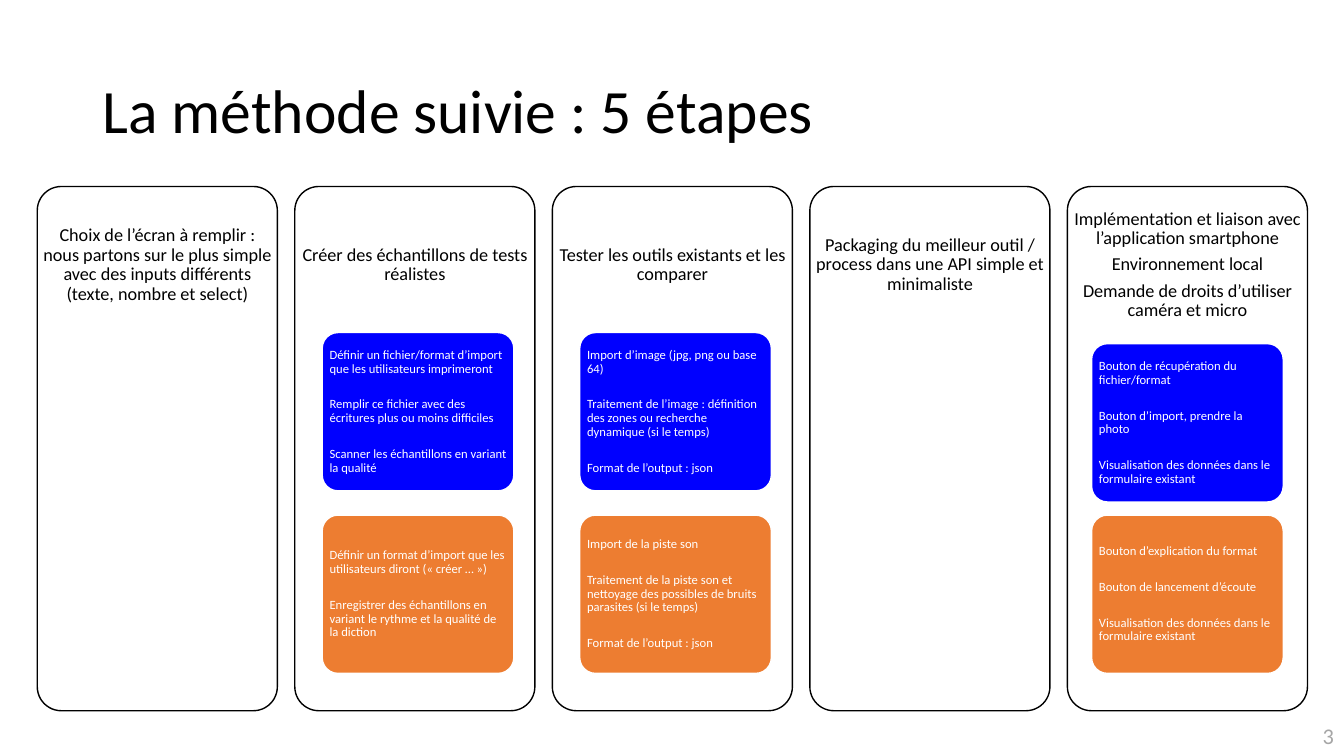
from dataclasses import dataclass

from pptx import Presentation
from pptx.dml.color import RGBColor
from pptx.enum.shapes import MSO_SHAPE as Shape
from pptx.enum.text import MSO_ANCHOR as Anchor, MSO_AUTO_SIZE as AutoSize, PP_ALIGN as Align
from pptx.util import Cm, Pt


@dataclass(frozen=True)
class Theme:
    font: str = "Calibri"
    black: str = "000000"
    white: str = "FFFFFF"
    grey: str = "A6A6A6"
    blue: str = "0000FF"
    orange: str = "ED7D31"
    title: float = 44
    number: float = 16
    heading: float = 13
    card: float = 9


@dataclass(frozen=True)
class Card:
    colour: str
    top: float
    lines: tuple[str, ...]


@dataclass(frozen=True)
class Step:
    heading: tuple[str, ...]
    cards: tuple[Card, ...] = ()
    card_indent: float = 0.69


THEME = Theme()

# Column and card geometry, in centimetres
LEFT, TOP, PITCH = 0.94, 4.7, 6.49
COLUMN_W, COLUMN_H, HEADING_H = 6.05, 13.21, 3.96
CARD_W, CARD_H = 4.83, 3.99
IMAGE_TOP, SOUND_TOP = 8.38, 12.98

STEPS = (
    Step(("Choix de l’écran à remplir : nous partons sur le plus simple "
          "avec des inputs différents (texte, nombre et select)",)),
    Step(("Créer des échantillons de tests réalistes",), (
        Card(THEME.blue, IMAGE_TOP, (
            "Définir un fichier/format d’import que les utilisateurs imprimeront",
            "Remplir ce fichier avec des écritures plus ou moins difficiles",
            "Scanner les échantillons en variant la qualité")),
        Card(THEME.orange, SOUND_TOP, (
            "Définir un format d’import que les utilisateurs diront (« créer … »)",
            "Enregistrer des échantillons en variant le rythme et la qualité de la diction")),
    )),
    Step(("Tester les outils existants et les comparer",), (
        Card(THEME.blue, IMAGE_TOP, (
            "Import d’image (jpg, png ou base 64)",
            "Traitement de l’image : définition des zones ou recherche dynamique (si le temps)",
            "Format de l’output : json")),
        Card(THEME.orange, SOUND_TOP, (
            "Import de la piste son",
            "Traitement de la piste son et nettoyage des possibles de bruits "
            "parasites (si le temps)",
            "Format de l’output : json")),
    )),
    Step(("Packaging du meilleur outil / process dans une API simple et minimaliste",)),
    Step(("Implémentation et liaison avec l’application smartphone",
          "Environnement local",
          "Demande de droits d’utiliser caméra et micro"), (
        Card(THEME.blue, IMAGE_TOP + 0.28, (
            "Bouton de récupération du fichier/format",
            "Bouton d’import, prendre la photo",
            "Visualisation des données dans le formulaire existant")),
        Card(THEME.orange, SOUND_TOP, (
            "Bouton d’explication du format",
            "Bouton de lancement d’écoute",
            "Visualisation des données dans le formulaire existant")),
    ), 0.61),
)


def write(tf, lines: tuple[str, ...], size: float, colour: str,
          align: Align = Align.LEFT, gap: float = 0) -> None:
    """Fill a text frame with evenly spaced paragraphs."""
    tf.word_wrap = True
    tf.auto_size = AutoSize.NONE
    tf.vertical_anchor = Anchor.MIDDLE
    for i, line in enumerate(lines):
        p = tf.add_paragraph() if i else tf.paragraphs[0]
        p.text = line
        p.alignment = align
        p.line_spacing = 0.9
        p.space_before = Pt(gap if i else 0)
        p.font.name = THEME.font
        p.font.size = Pt(size)
        p.font.color.rgb = RGBColor.from_string(colour)


def set_insets(tf, side: float, end: float) -> None:
    tf.margin_left = tf.margin_right = Cm(side)
    tf.margin_top = tf.margin_bottom = Cm(end)


def add_panel(s, x: float, y: float, w: float, h: float, fill: str, line: str):
    sp = s.shapes.add_shape(Shape.ROUNDED_RECTANGLE, Cm(x), Cm(y), Cm(w), Cm(h))
    sp.adjustments[0] = 0.1
    sp.shadow.inherit = False
    sp.fill.solid()
    sp.fill.fore_color.rgb = RGBColor.from_string(fill)
    sp.line.color.rgb = RGBColor.from_string(line)
    sp.line.width = Pt(1)
    return sp


def add_step(s, step: Step, x: float) -> None:
    add_panel(s, x, TOP, COLUMN_W, COLUMN_H, THEME.white, THEME.black)
    tf = s.shapes.add_textbox(Cm(x), Cm(TOP), Cm(COLUMN_W), Cm(HEADING_H)).text_frame
    set_insets(tf, 0.12, 0.12)
    write(tf, step.heading, THEME.heading, THEME.black, Align.CENTER, 4.6)
    for card in step.cards:
        sp = add_panel(s, x + step.card_indent, card.top, CARD_W, CARD_H,
                       card.colour, THEME.white)
        set_insets(sp.text_frame, 0.07, 0.05)
        write(sp.text_frame, card.lines, THEME.card, THEME.white, gap=15.8)


def main() -> None:
    prs = Presentation()
    prs.slide_width, prs.slide_height = Cm(33.87), Cm(19.05)
    s = prs.slides.add_slide(prs.slide_layouts[5])

    # Title
    title = s.shapes.title
    title.left, title.top, title.width, title.height = Cm(2.33), Cm(1.01), Cm(29.21), Cm(3.68)
    write(title.text_frame, ("La méthode suivie : 5 étapes",), THEME.title, THEME.black)

    # Five steps
    for i, step in enumerate(STEPS):
        add_step(s, step, LEFT + i * PITCH)

    # Page number
    number = s.shapes.add_textbox(Cm(31.33), Cm(18.11), Cm(2.54), Cm(0.94))
    write(number.text_frame, ("3",), THEME.number, THEME.grey, Align.RIGHT)

    prs.save("out.pptx")


if __name__ == "__main__":
    main()
